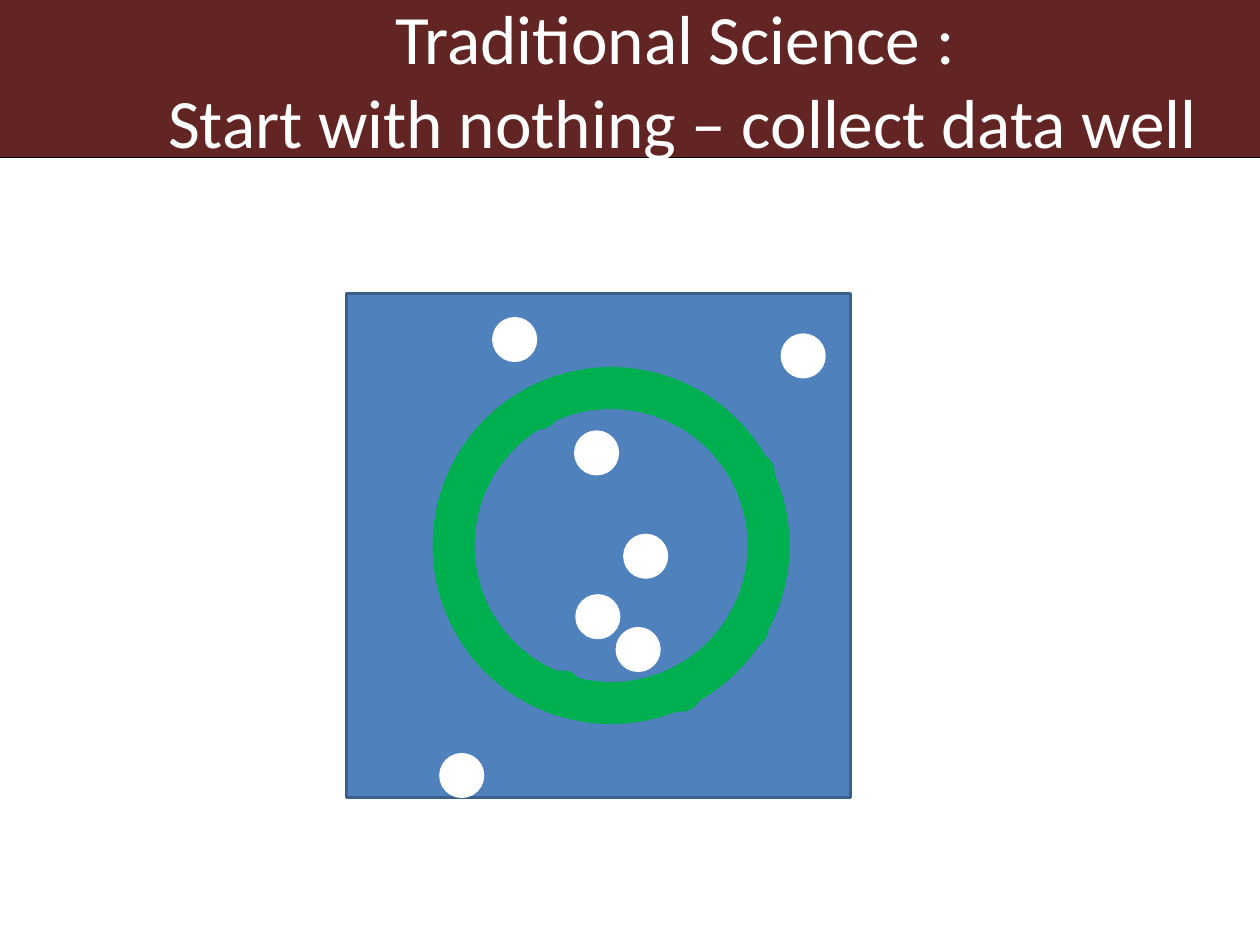
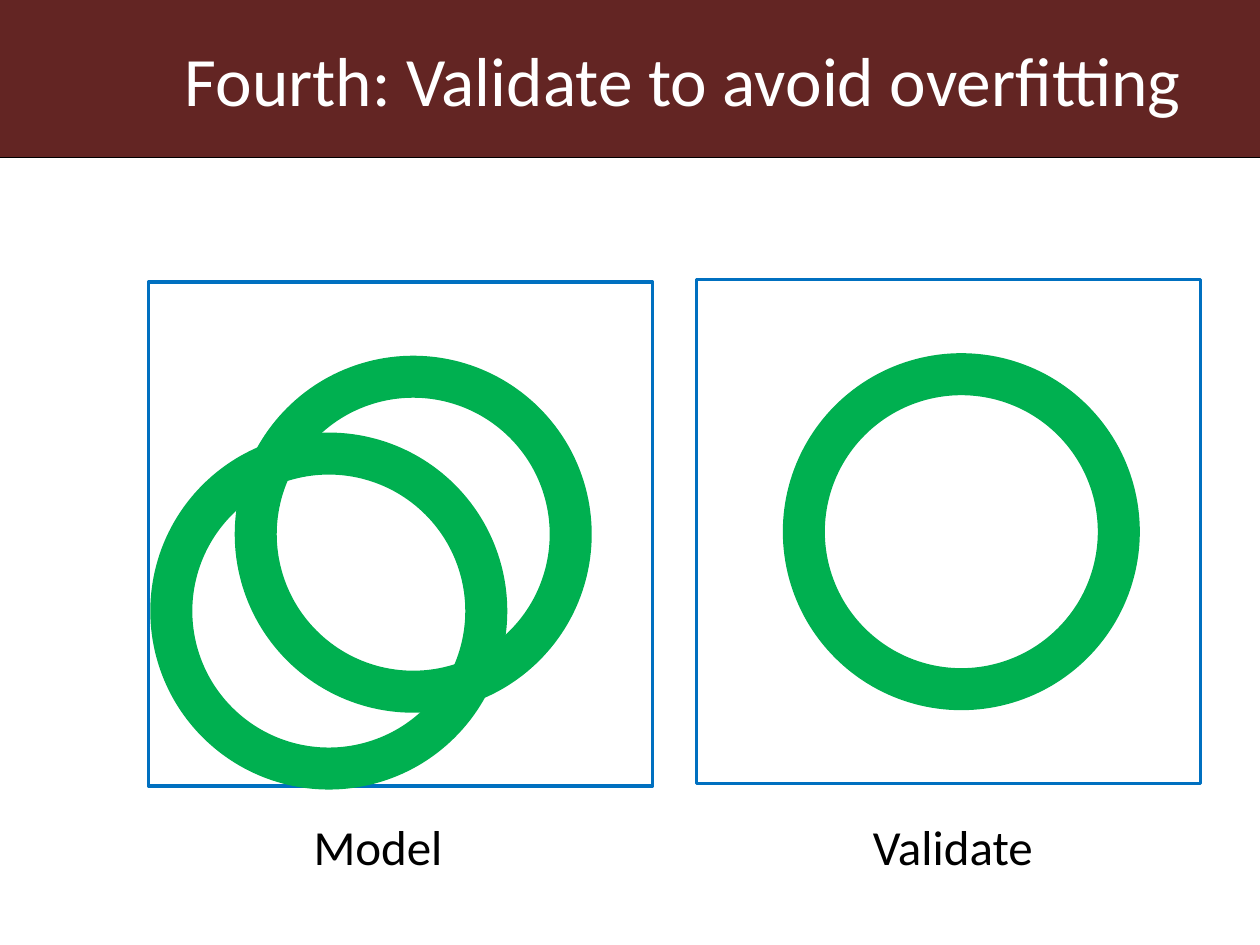
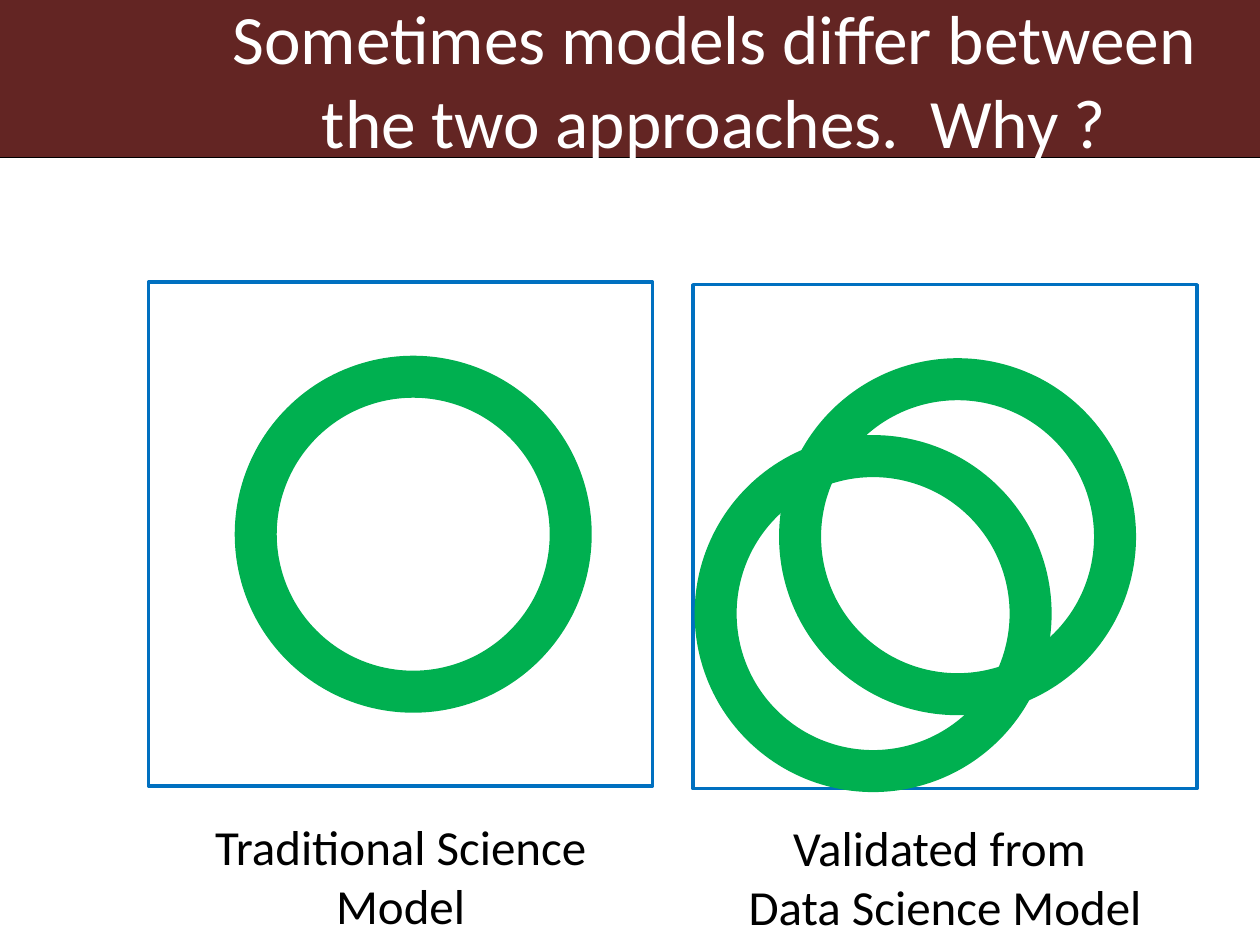
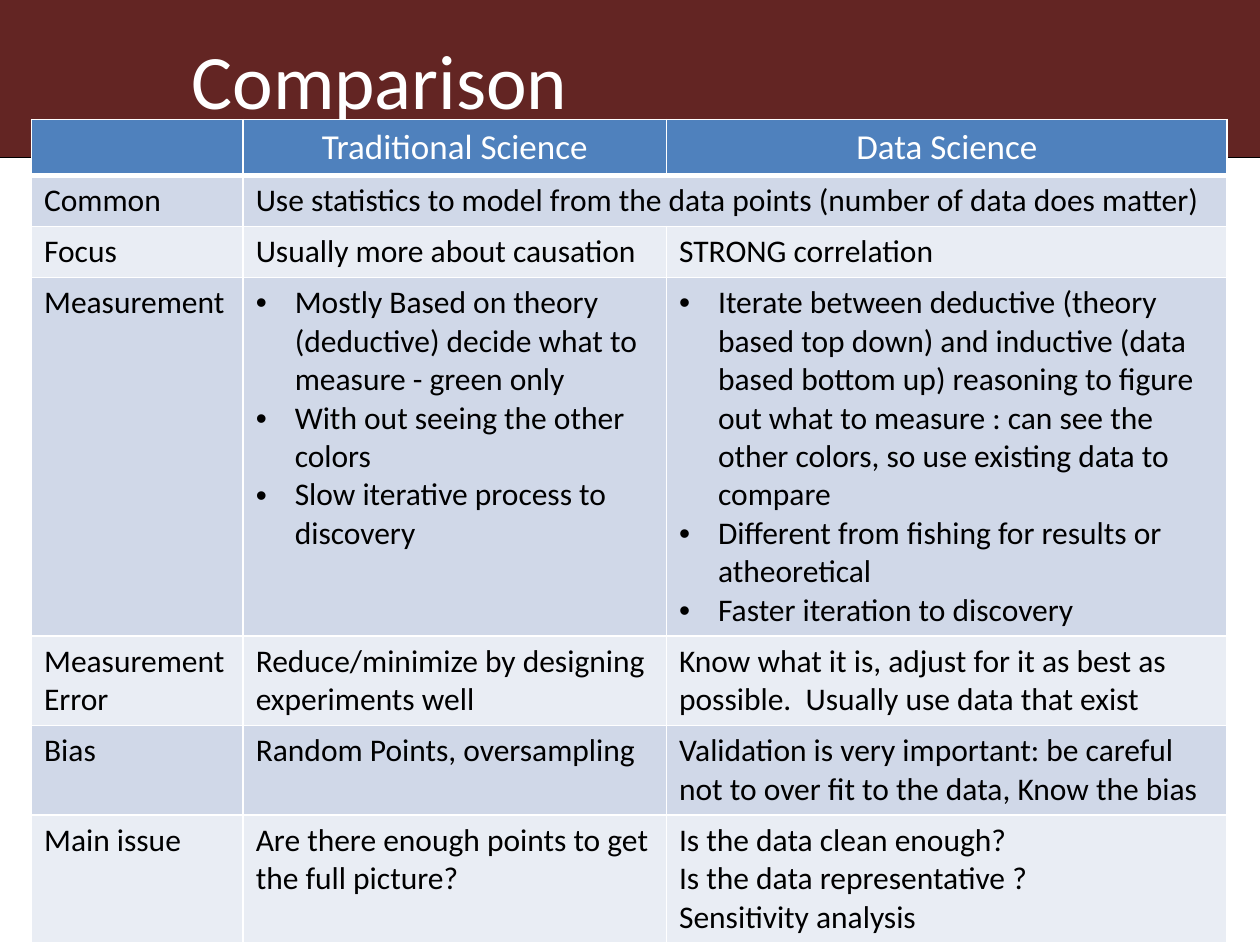
from lxml import etree
from pptx import Presentation
from pptx.dml.color import RGBColor
from pptx.enum.shapes import MSO_CONNECTOR, MSO_SHAPE
from pptx.enum.text import MSO_ANCHOR, MSO_AUTO_SIZE, PP_ALIGN
from pptx.oxml.ns import qn
from pptx.util import Inches, Pt

# Shared style
COLOURS = {
    "band": "632523", "black": "000000", "white": "FFFFFF",
    "green": "00B050", "frame": "0070C0",
    "square": "4F81BD", "square edge": "3A5F8C",
    "header": "4F81BD", "odd row": "D0D8E8", "even row": "E9EDF4",
}
FONT = "Calibri"
WIDTH, HEIGHT = 10, 7.5
BAND_HEIGHT = HEIGHT / 6
PANEL_SIZE, RING_SIZE, DOT_SIZE = 4, 2.5, 0.33
FIRST_RING, SECOND_RING = (0.85, 0.75), (0.18, 1.36)  # offsets in a panel
BULLET_INDENT = 0.31

# Sample points, from back to front
DOTS = [
    (3.92, 2.53, "white"), (4.96, 4.25, "white"), (3.5, 5.99, "white"),
    (6.21, 2.66, "white"), (3.46, 4.41, "green"), (5.77, 4.82, "green"),
    (5.12, 3, "green"), (4.9, 4.99, "white"), (5.24, 5.32, "green"),
    (4.11, 3.08, "green"), (5.93, 4.3, "green"), (4.58, 4.73, "white"),
    (4.57, 3.43, "white"), (4.3, 5.32, "green"), (5.82, 3.59, "green"),
]

# Comparison table: a list is bulleted, None joins the cell to its left
COLUMN_WIDTHS = [1.68, 3.36, 4.45]
ROW_HEIGHTS = [0.43, 0.4, 0.4, 2.78, 0.7, 0.7, 0.99]
COMPARISON = [
    ["", "Traditional Science", "Data Science"],
    ["Common", "Use statistics to model from the data points "
     "(number of data does matter)", None],
    ["Focus", "Usually more about causation", "STRONG correlation"],
    ["Measurement",
     ["Mostly Based on theory (deductive) decide what to measure - green only",
      "With out seeing the other colors",
      "Slow iterative process to discovery"],
     ["Iterate between deductive (theory based top down) and inductive (data "
      "based bottom up) reasoning to figure out what to measure : can see the "
      "other colors, so use existing data to compare",
      "Different from fishing for results or atheoretical",
      "Faster iteration to discovery"]],
    ["Measurement Error", "Reduce/minimize by designing experiments well",
     "Know what it is, adjust for it as best as possible.  "
     "Usually use data that exist"],
    ["Bias", "Random Points, oversampling",
     "Validation is very important: be careful not to over fit to the data, "
     "Know the bias"],
    ["Main issue", "Are there enough points to get the full picture?",
     "Is the data clean enough?\nIs the data representative ?\n"
     "Sensitivity analysis"],
]


def colour(name):
    return RGBColor.from_string(COLOURS[name])


def format_text(frame, size, colour_name, align=None):
    for para in frame.paragraphs:
        para.alignment = align
        for span in para.runs:
            span.font.size = Pt(size)
            span.font.name = FONT
            span.font.color.rgb = colour(colour_name)


def add_figure(shapes, kind, left, top, width, height, fill=None, line=None, weight=2):
    figure = shapes.add_shape(kind, Inches(left), Inches(top), Inches(width), Inches(height))
    figure.shadow.inherit = False
    if fill:
        figure.fill.solid()
        figure.fill.fore_color.rgb = colour(fill)
    else:
        figure.fill.background()
    if line:
        figure.line.color.rgb = colour(line)
        figure.line.width = Pt(weight)
    else:
        figure.line.fill.background()
    return figure


def add_ring(shapes, panel_left, panel_top, offset):
    add_figure(shapes, MSO_SHAPE.OVAL, panel_left + offset[0], panel_top + offset[1],
               RING_SIZE, RING_SIZE, line="green", weight=24)


def add_panel(page, left, top, two_rings=False):
    """A framed square with one ring, or with two overlapping rings."""
    shapes = page.shapes.add_group_shape().shapes
    add_ring(shapes, left, top, FIRST_RING)
    add_figure(shapes, MSO_SHAPE.RECTANGLE, left, top, PANEL_SIZE, PANEL_SIZE, line="frame")
    if two_rings:
        add_ring(shapes, left, top, SECOND_RING)


def add_caption(page, text, left, top, width, height, wrap=True):
    box = page.shapes.add_textbox(Inches(left), Inches(top), Inches(width), Inches(height))
    frame = box.text_frame
    frame.word_wrap = wrap
    frame.auto_size = MSO_AUTO_SIZE.SHAPE_TO_FIT_TEXT
    frame.text = text
    format_text(frame, 28, "black", PP_ALIGN.CENTER if wrap else None)


def add_band(layout, page):
    """Draw the title band and its rule, then move both to the layout."""
    band = add_figure(page.shapes, MSO_SHAPE.RECTANGLE, 0, 0, WIDTH, BAND_HEIGHT, fill="band")
    rule = page.shapes.add_connector(MSO_CONNECTOR.STRAIGHT, 0, Inches(BAND_HEIGHT),
                                     Inches(WIDTH), Inches(BAND_HEIGHT))
    rule.line.color.rgb = colour("black")
    rule.line.width = Pt(0.75)
    etree.SubElement(rule.element.spPr, qn("a:effectLst"))
    for number, part in enumerate((band, rule)):
        part.element.xpath(".//p:cNvPr")[0].set("id", str(100 + number))
        layout.shapes.element.insert(2 + number, part.element)


def add_page(deck, title, left, width, size=39.6, align=PP_ALIGN.CENTER):
    layout = deck.slide_layouts[5]
    page = deck.slides.add_slide(layout)
    if len(deck.slides) == 1:
        add_band(layout, page)
    box = page.shapes.title
    box.left, box.top = Inches(left), 0
    box.width, box.height = Inches(width), Inches(BAND_HEIGHT)
    frame = box.text_frame
    frame.text = title
    frame.auto_size = MSO_AUTO_SIZE.NONE
    frame.vertical_anchor = MSO_ANCHOR.MIDDLE
    format_text(frame, size, "white", align)
    return page


def add_bullet(para):
    properties = para._p.get_or_add_pPr()
    properties.set("marL", str(Inches(BULLET_INDENT)))
    properties.set("indent", str(-Inches(BULLET_INDENT)))
    etree.SubElement(properties, qn("a:buFont"), typeface="Arial")
    etree.SubElement(properties, qn("a:buChar"), char="•")


def add_borders(cell, is_header):
    properties = cell._tc.get_or_add_tcPr()
    for side in "LRTB":
        weight = 3 if is_header and side == "B" else 1
        line = etree.SubElement(properties, qn("a:ln" + side), w=str(Pt(weight)))
        fill = etree.SubElement(line, qn("a:solidFill"))
        etree.SubElement(fill, qn("a:srgbClr"), val=COLOURS["white"])


def fill_cell(cell, content, row):
    is_header = row == 0
    add_borders(cell, is_header)
    cell.fill.solid()
    cell.fill.fore_color.rgb = colour(
        "header" if is_header else "odd row" if row % 2 else "even row")
    frame = cell.text_frame
    if isinstance(content, list):
        frame.text = "\n".join(content)
        for para in frame.paragraphs:
            add_bullet(para)
    else:
        frame.text = content
    if is_header:
        format_text(frame, 20, "white", PP_ALIGN.CENTER)
    else:
        format_text(frame, 18, "black")


def add_comparison(page, left, top):
    table = page.shapes.add_table(
        len(ROW_HEIGHTS), len(COLUMN_WIDTHS), Inches(left), Inches(top),
        Inches(sum(COLUMN_WIDTHS)), Inches(sum(ROW_HEIGHTS))).table
    for column, width in zip(table.columns, COLUMN_WIDTHS):
        column.width = Inches(width)
    for row, height in zip(table.rows, ROW_HEIGHTS):
        row.height = Inches(height)
    for row, contents in enumerate(COMPARISON):
        for column, content in enumerate(contents):
            if content is None:
                table.cell(row, column - 1).merge(table.cell(row, column))
            else:
                fill_cell(table.cell(row, column), content, row)


def main():
    deck = Presentation()
    deck.slide_width, deck.slide_height = Inches(WIDTH), Inches(HEIGHT)

    # Slide 1: points sampled in a square
    page = add_page(deck, "Traditional Science : \vStart with nothing – collect data well",
                    0.92, 9)
    left, top = 2.75, 2.33
    add_figure(page.shapes, MSO_SHAPE.RECTANGLE, left, top, PANEL_SIZE, PANEL_SIZE,
               fill="square", line="square edge")
    add_ring(page.shapes, left, top, FIRST_RING)
    for dot_left, dot_top, name in DOTS:
        add_figure(page.shapes, MSO_SHAPE.OVAL, dot_left, dot_top, DOT_SIZE, DOT_SIZE,
                   fill=name, line="white" if name == "white" else None)

    # Slide 2: model against validation
    page = add_page(deck, "Fourth: Validate to avoid overfitting", 0.92, 9)
    add_panel(page, 5.53, 2.22)
    add_panel(page, 1.18, 2.24, two_rings=True)
    add_caption(page, "Model", 2.39, 6.43, 1.27, 0.57, wrap=False)
    add_caption(page, "Validate", 6.83, 6.43, 1.6, 0.57, wrap=False)

    # Slide 3: the two approaches side by side
    page = add_page(deck, "Sometimes models differ between the two approaches.  Why ?",
                    1.42, 8.5)
    add_panel(page, 1.18, 2.24)
    add_caption(page, "Traditional Science Model", 1.18, 6.43, PANEL_SIZE, 1.04)
    add_caption(page, "Validated from \nData Science Model", 5.5, 6.44, PANEL_SIZE, 1.04)
    add_panel(page, 5.5, 2.26, two_rings=True)

    # Slide 4: comparison table
    page = add_page(deck, "Comparison", 1.42, 8.5, size=44, align=PP_ALIGN.LEFT)
    add_comparison(page, 0.25, 0.95)

    deck.save("out.pptx")


if __name__ == "__main__":
    main()
